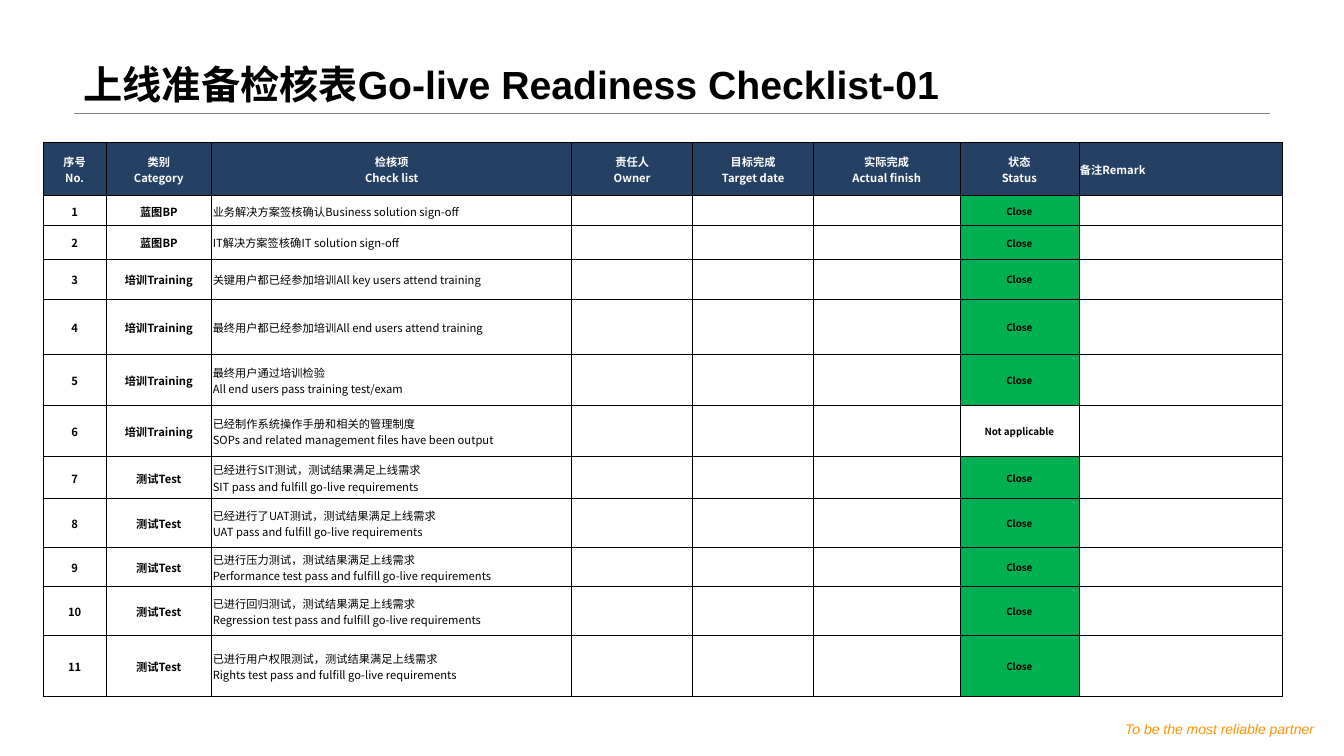
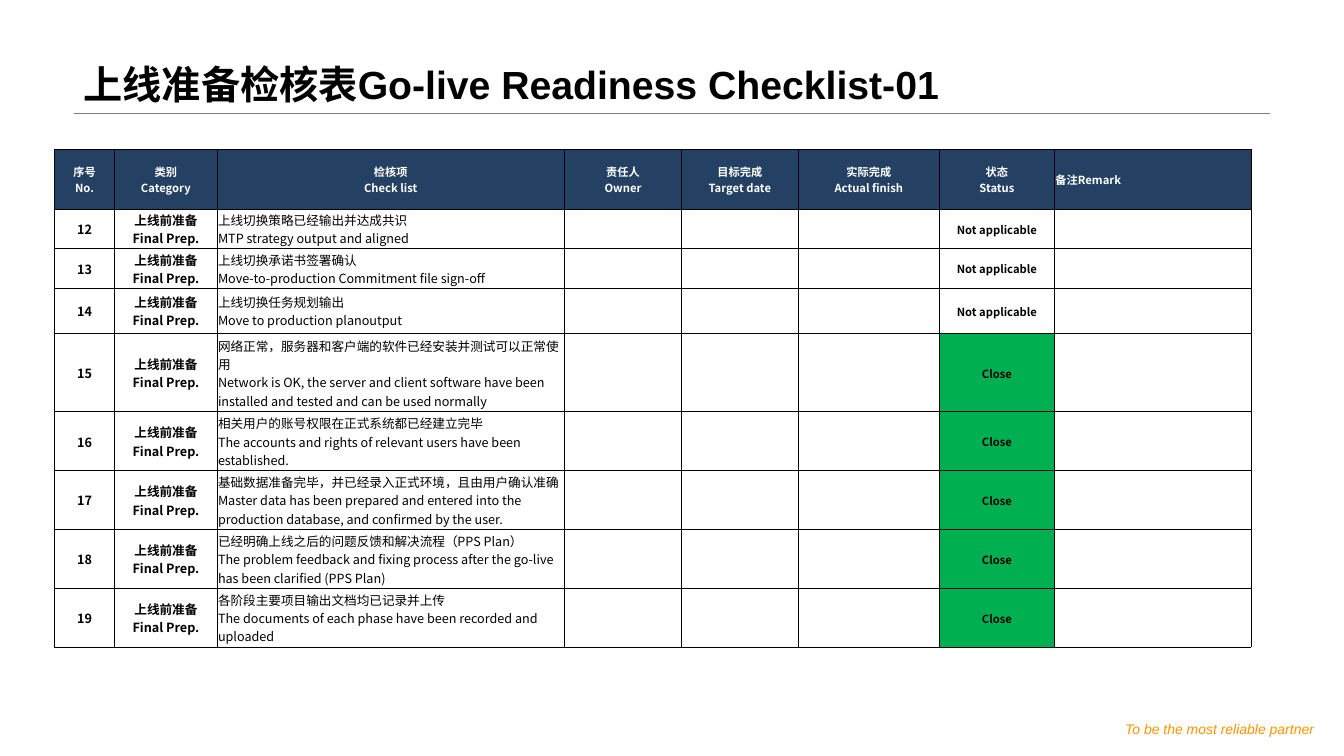
from copy import deepcopy

from lxml.etree import SubElement
from pptx import Presentation
from pptx.dml.color import RGBColor
from pptx.enum.shapes import MSO_CONNECTOR as Connector
from pptx.enum.text import MSO_ANCHOR as Anchor, MSO_AUTO_SIZE as AutoSize, PP_ALIGN as Align
from pptx.oxml.ns import qn
from pptx.util import Emu, Inches, Pt

TITLE = "上线准备检核表Go-live Readiness Checklist-01"
TAGLINE = "To be the most reliable partner"
HEADINGS = ["序号\nNo.", "类别\nCategory", "检核项\nCheck list", "责任人\nOwner",
            "目标完成\nTarget date", "实际完成\nActual finish", "状态\nStatus", "备注Remark"]
COLUMN_WEIGHTS = [0.62, 1.05, 3.57, 1.2, 1.2, 1.45, 1.18, 2.02]
BLUEPRINT, TRAINING, TEST, FINAL = "蓝图BP", "培训Training", "测试Test", "上线前准备\nFinal Prep."
CLOSE, NOT_APPLICABLE = "Close", "Not applicable"

# Each check: row height weight, category, check text, status
FIRST_CHECKS = [
    (0.3, BLUEPRINT, "业务解决方案签核确认Business solution sign-off", CLOSE),
    (0.33, BLUEPRINT, "IT解决方案签核确IT solution sign-off", CLOSE),
    (0.4, TRAINING, "关键用户都已经参加培训All key users attend training", CLOSE),
    (0.55, TRAINING, "最终用户都已经参加培训All end users attend training", CLOSE),
    (0.5, TRAINING, "最终用户通过培训检验\nAll end users pass training test/exam", CLOSE),
    (0.51, TRAINING, "已经制作系统操作手册和相关的管理制度\n"
     "SOPs and related management files have been output", NOT_APPLICABLE),
    (0.42, TEST, "已经进行SIT测试，测试结果满足上线需求\nSIT pass and fulfill go-live requirements", CLOSE),
    (0.48, TEST, "已经进行了UAT测试，测试结果满足上线需求\nUAT pass and fulfill go-live requirements", CLOSE),
    (0.39, TEST, "已进行压力测试，测试结果满足上线需求\n"
     "Performance test pass and fulfill go-live requirements", CLOSE),
    (0.49, TEST, "已进行回归测试，测试结果满足上线需求\n"
     "Regression test pass and fulfill go-live requirements", CLOSE),
    (0.6, TEST, "已进行用户权限测试，测试结果满足上线需求\n"
     "Rights test pass and fulfill go-live requirements", CLOSE),
]
FINAL_CHECKS = [
    (0.39, FINAL, "上线切换策略已经输出并达成共识\nMTP strategy output and aligned", NOT_APPLICABLE),
    (0.39, FINAL, "上线切换承诺书签署确认\nMove-to-production Commitment file sign-off", NOT_APPLICABLE),
    (0.45, FINAL, "上线切换任务规划输出\nMove to production planoutput", NOT_APPLICABLE),
    (0.77, FINAL, "网络正常，服务器和客户端的软件已经安装并测试可以正常使用\n"
     "Network is OK, the server and client software have been installed and tested "
     "and can be used normally", CLOSE),
    (0.58, FINAL, "相关用户的账号权限在正式系统都已经建立完毕\n"
     "The accounts and rights of relevant users have been established.", CLOSE),
    (0.58, FINAL, "基础数据准备完毕，并已经录入正式环境，且由用户确认准确\n"
     "Master data has been prepared and entered into the production database, "
     "and confirmed by the user.", CLOSE),
    (0.58, FINAL, "已经明确上线之后的问题反馈和解决流程（PPS Plan）\n"
     "The problem feedback and fixing process after the go-live has been clarified (PPS Plan)", CLOSE),
    (0.58, FINAL, "各阶段主要项目输出文档均已记录并上传\n"
     "The documents of each phase have been recorded and uploaded", CLOSE),
]


def color(value):
    return RGBColor.from_string(value)


def set_all(target, **values):
    for name, value in values.items():
        setattr(target, name, value)


class ChecklistDeck:
    """Holds the style and the current page; places are percentages of the slide."""
    BLACK, WHITE, NAVY, GREEN = "000000", "FFFFFF", "244062", "00B050"
    GRAY, ORANGE = "808080", "FF9300"
    LATIN, CHINESE = "Arial", "Noto Sans CJK SC"

    def __init__(self):
        self.deck = Presentation()
        set_all(self.deck, slide_width=Inches(13.33), slide_height=Inches(7.5))
        self.page = None

    def place(self, *shares):
        """Turn alternating x and y percentages into lengths."""
        sides = (self.deck.slide_width, self.deck.slide_height)
        return [Emu(round(sides[i % 2] * share / 100)) for i, share in enumerate(shares)]

    def add_page(self, title):
        self.page = self.deck.slides.add_slide(self.deck.slide_layouts[5])
        self.rule()
        self.tagline()
        box = self.page.shapes.title
        left, top, width, height = self.place(5.48, 0, 89.05, 14.93)
        set_all(box, left=left, top=top, width=width, height=height)
        set_all(box.text_frame, vertical_anchor=Anchor.BOTTOM, word_wrap=True, auto_size=AutoSize.NONE)
        para = box.text_frame.paragraphs[0]
        set_all(para, alignment=Align.LEFT, line_spacing=0.9)
        self.add_text(para, title, self.LATIN, self.BLACK, size=Pt(28), bold=True)

    def rule(self):
        line = self.page.shapes.add_connector(Connector.STRAIGHT, *self.place(5.48, 14.93, 94.52, 14.93))
        line.line.color.rgb = color(self.GRAY)
        line.line.width = Pt(0.25)
        SubElement(line._element.spPr, qn("a:effectLst"))

    def tagline(self):
        box = self.page.shapes.add_textbox(*self.place(83.12, 94.4, 15.23, 4))
        inset = Inches(0.07)
        set_all(box.text_frame, word_wrap=False, auto_size=AutoSize.SHAPE_TO_FIT_TEXT, margin_left=inset,
                margin_right=inset, margin_top=inset, margin_bottom=inset)
        para = box.text_frame.paragraphs[0]
        para.alignment = Align.CENTER
        self.add_text(para, TAGLINE, self.LATIN, self.ORANGE, size=Pt(10), italic=True)

    def add_text(self, para, text, typeface, ink, **font):
        """Add text to a paragraph, giving line breaks the same format."""
        for index, part in enumerate(text.split("\n")):
            if index:
                para.add_line_break()
            span = para.add_run()
            span.text = part
            set_all(span.font, name=typeface, **font)
            span.font.color.rgb = color(ink)
            properties = span._r.get_or_add_rPr()
            SubElement(properties, qn("a:ea"), typeface=self.CHINESE)
        for line_break in para._p.findall(qn("a:br")):
            line_break.append(deepcopy(properties))

    def cell(self, cell, text, size, fill=None, ink=BLACK, bold=True, centred=True):
        inset = Inches(0.01)
        set_all(cell, margin_left=inset, margin_right=inset, margin_top=inset, margin_bottom=0,
                vertical_anchor=Anchor.MIDDLE)
        for side in ("a:lnL", "a:lnR", "a:lnT", "a:lnB"):
            border = SubElement(cell._tc.get_or_add_tcPr(), qn(side), w=str(Pt(0.5)))
            SubElement(SubElement(border, qn("a:solidFill")), qn("a:srgbClr"), val=self.BLACK)
        if fill:
            cell.fill.solid()
            cell.fill.fore_color.rgb = color(fill)
        else:
            cell.fill.background()
        para = cell.text_frame.paragraphs[0]
        para.alignment = Align.CENTER if centred else Align.LEFT
        if text:
            self.add_text(para, text, self.CHINESE, ink, size=Pt(size), bold=bold)
        else:
            SubElement(para._p, qn("a:endParaRPr"), sz=str(size * 100))

    def checklist(self, area, checks, first_number, header_weight, size):
        left, top, width, height = self.place(*area)
        table = self.page.shapes.add_table(len(checks) + 1, len(HEADINGS), left, top, width, height).table
        set_all(table, first_row=False, horz_banding=False)
        row_weights = [header_weight] + [check[0] for check in checks]
        for column, weight in zip(table.columns, COLUMN_WEIGHTS):
            column.width = Emu(round(width * weight / sum(COLUMN_WEIGHTS)))
        for row, weight in zip(table.rows, row_weights):
            row.height = Emu(round(height * weight / sum(row_weights)))

        for index, heading in enumerate(HEADINGS):
            self.cell(table.cell(0, index), heading, 8, self.NAVY, self.WHITE,
                      centred=index < len(HEADINGS) - 1)
        for row, (_, category, check, status) in enumerate(checks, 1):
            texts = [str(first_number + row - 1), category, check, "", "", "", status, ""]
            formats = {2: {"bold": False, "centred": False},
                       6: {"size": size - 1, "fill": self.GREEN if status == CLOSE else self.WHITE}}
            for index, text in enumerate(texts):
                self.cell(table.cell(row, index), text, **{"size": size, **formats.get(index, {})})

    def save(self):
        self.deck.save("out.pptx")


def main():
    deck = ChecklistDeck()
    deck.add_page(TITLE)
    deck.checklist((3.23, 18.8, 92.2, 73.33), FIRST_CHECKS, first_number=1, header_weight=0.53, size=8)
    deck.add_page(TITLE)
    deck.checklist((4.05, 19.73, 89.05, 65.87), FINAL_CHECKS, first_number=len(FIRST_CHECKS) + 1,
                   header_weight=0.59, size=9)
    deck.save()


if __name__ == "__main__":
    main()
